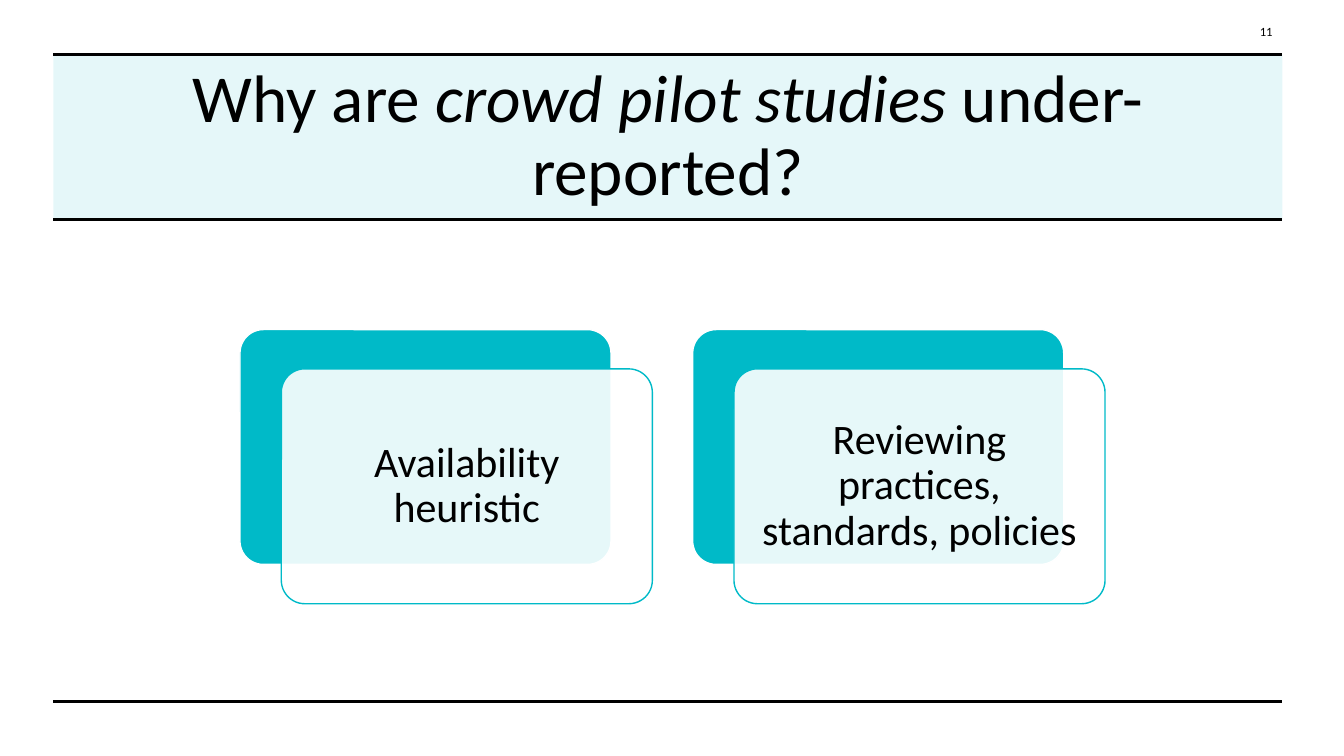
from lxml.etree import SubElement
from pptx import Presentation
from pptx.dml.color import RGBColor
from pptx.enum.shapes import MSO_CONNECTOR, MSO_SHAPE
from pptx.enum.text import MSO_ANCHOR, MSO_AUTO_SIZE, PP_ALIGN
from pptx.oxml.ns import qn
from pptx.util import Inches, Pt

TEAL = RGBColor(0x00, 0xBA, 0xC8)
WHITE = RGBColor(0xFF, 0xFF, 0xFF)
BLACK = RGBColor(0x00, 0x00, 0x00)
LEFT, RIGHT = 0.53, 12.72
BAND_TOP, BAND_BOTTOM, FOOT = 0.54, 2.18, 6.96


def add_box(kind, x, y, w, h, fill, opacity=100, line=None):
    sp = s.shapes.add_shape(kind, Inches(x), Inches(y), Inches(w), Inches(h))
    sp.shadow.inherit = False
    sp.fill.solid()
    sp.fill.fore_color.rgb = fill
    if opacity < 100:
        color = sp._element.spPr.find(qn("a:solidFill"))[0]
        SubElement(color, qn("a:alpha"), val=str(opacity * 1000))
    if line is None:
        sp.line.fill.background()
    else:
        sp.line.color.rgb = line
        sp.line.width = Pt(1)
    return sp


def style(p, size, align):
    p.alignment = align
    p.font.name = "Calibri"
    p.font.size = Pt(size)
    p.font.color.rgb = BLACK


prs = Presentation()
prs.slide_width, prs.slide_height = Inches(13.33), Inches(7.5)
s = prs.slides.add_slide(prs.slide_layouts[5])

# Title band, placed behind the title
band = add_box(MSO_SHAPE.RECTANGLE, LEFT, BAND_TOP, RIGHT - LEFT,
               BAND_BOTTOM - BAND_TOP, TEAL, opacity=10)
s.shapes._spTree.insert(2, band._element)

# Title
title = s.shapes.title
title.left, title.top = Inches(0.74), Inches(0.75)
title.width, title.height = Inches(11.77), Inches(1.22)
tf = title.text_frame
tf.auto_size = MSO_AUTO_SIZE.NONE
tf.word_wrap = True
tf.vertical_anchor = MSO_ANCHOR.MIDDLE
p = tf.paragraphs[0]
for text, italic in [("Why are ", False), ("crowd pilot studies ", True),
                     ("under-reported?", False)]:
    r = p.add_run()
    r.text = text
    r.font.italic = italic
p.line_spacing = 0.9
style(p, 48, PP_ALIGN.CENTER)

# Slide number
number = s.shapes.add_textbox(Inches(12.02), Inches(0.11), Inches(0.7), Inches(0.4))
tf = number.text_frame
tf.word_wrap = True
tf.vertical_anchor = MSO_ANCHOR.MIDDLE
tf.text = "11"
style(tf.paragraphs[0], 9, PP_ALIGN.RIGHT)

# Rules around the title and at the foot
for y in (BAND_TOP, BAND_BOTTOM, FOOT):
    rule = s.shapes.add_connector(MSO_CONNECTOR.STRAIGHT, Inches(LEFT), Inches(y),
                                  Inches(RIGHT), Inches(y))
    rule.line.color.rgb = BLACK
    rule.line.width = Pt(2.25)
    SubElement(rule._element.spPr, qn("a:effectLst"))

# Reason cards, each over an offset teal backing
CARD_W, CARD_H, CARD_TOP = 3.68, 2.33, 3.27
REASONS = ["Availability heuristic", "Reviewing practices, standards, policies"]
for i, reason in enumerate(REASONS):
    x = 2.38 + i * 4.49
    backing = add_box(MSO_SHAPE.ROUNDED_RECTANGLE, x, CARD_TOP, CARD_W, CARD_H,
                      TEAL, line=WHITE)
    card = add_box(MSO_SHAPE.ROUNDED_RECTANGLE, x + 0.41, CARD_TOP + 0.39,
                   CARD_W, CARD_H, WHITE, opacity=90, line=TEAL)
    backing.adjustments[0] = card.adjustments[0] = 0.1
    tf = card.text_frame
    tf.word_wrap = True
    tf.vertical_anchor = MSO_ANCHOR.MIDDLE
    tf.margin_left = tf.margin_right = Inches(0.12)
    tf.margin_top = tf.margin_bottom = Inches(0.12)
    tf.text = reason
    p = tf.paragraphs[0]
    p.line_spacing = 0.9
    style(p, 30, PP_ALIGN.CENTER)

prs.save("out.pptx")
